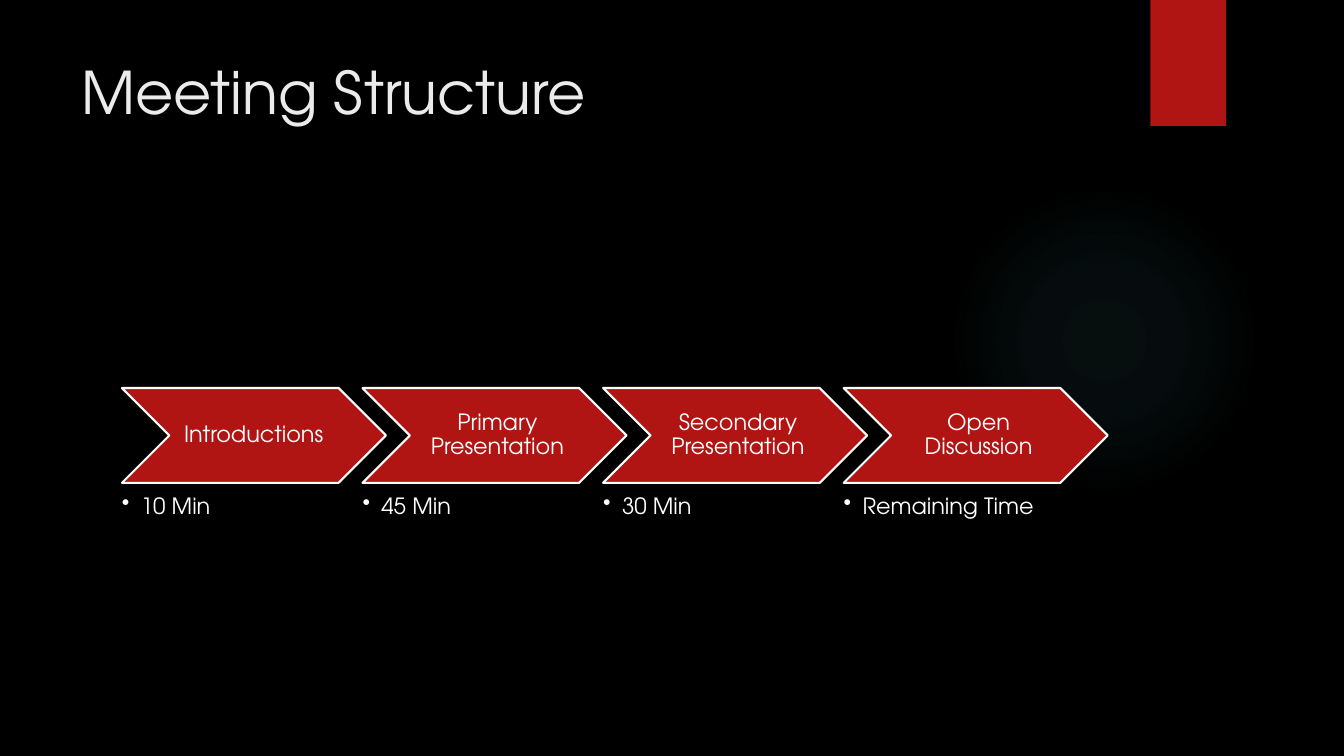
from pptx import Presentation
from pptx.dml.color import RGBColor as RGB
from pptx.enum.shapes import MSO_SHAPE as Kind
from pptx.enum.text import MSO_ANCHOR as Anchor, PP_ALIGN as Align
from pptx.oxml import parse_xml
from pptx.oxml.ns import nsdecls
from pptx.util import Pt
from dataclasses import dataclass

TITLE = "Meeting Structure"
STEPS = [
    ("Introductions\u00a0", "10 Min"),
    ("Primary Presentation", "45 Min"),
    ("Secondary Presentation", "30 Min"),
    ("Open Discussion", "Remaining Time"),
]


@dataclass(frozen=True)
class Theme:
    """Colours, font and type sizes."""
    back: str = "000000"
    red: str = "B01513"
    white: str = "FFFFFF"
    head: str = "EBEBEB"
    glow: str = "50B9C1"
    font: str = "TeX Gyre Adventor"
    big: float = 42
    small: float = 16


LOOK = Theme()
GLOW = [(0, 7), (36, 6), (69, 0)]  # stop and opacity, percent
LEFT, TOP, PITCH = 87.1, 277.2, 171.85
WIDE, HIGH = 188.6, 67.7
INSET, DROP = 34.2, 76.3  # label from chevron left, time from chevron top
HANG = 13.5


def apply(item, form):
    """Set each format value on an item."""
    for name, value in form.items():
        setattr(item, name, value)


def margins(left, top, right, bottom):
    """Give text frame margins as format values."""
    sides = zip(("left", "top", "right", "bottom"), (left, top, right, bottom))
    return {f"margin_{side}": Pt(gap) for side, gap in sides}


BODY = {"line_spacing": 0.9}
LABEL = {"vertical_anchor": Anchor.MIDDLE, **margins(5, 1.7, 1.7, 1.7)}
TIME = margins(0, 0, 0, 0)


def shape(slide, kind, box, fill=None, line=None):
    """Add a flat preset shape."""
    part = slide.shapes.add_shape(kind, *map(Pt, box))
    part.shadow.inherit = False
    if fill:
        part.fill.solid()
        part.fill.fore_color.rgb = RGB.from_string(fill)
    if line:
        part.line.color.rgb = RGB.from_string(line)
        part.line.width = Pt(1.5)
    else:
        part.line.fill.background()
    return part


def write(slide, box, text, size, tint, frame=None, para=None):
    """Add a wrapped text box and return its paragraph."""
    body = slide.shapes.add_textbox(*map(Pt, box)).text_frame
    apply(body, {"word_wrap": True, **(frame or {})})
    line = body.paragraphs[0]
    apply(line, para or {})
    run = line.add_run()
    run.text = text
    apply(run.font, {"name": LOOK.font, "size": Pt(size)})
    run.font.color.rgb = RGB.from_string(tint)
    return line


def shine(part):
    """Fill a shape with a faint round glow."""
    stops = "".join(
        f'<a:gs pos="{pos * 1000}"><a:srgbClr val="{LOOK.glow}">'
        f'<a:alpha val="{dim * 1000}"/></a:srgbClr></a:gs>'
        for pos, dim in GLOW)
    mid = " ".join(f'{side}="50000"' for side in "ltrb")
    fill = parse_xml(
        f'<a:gradFill {nsdecls("a")} rotWithShape="1"><a:gsLst>{stops}</a:gsLst>'
        f'<a:path path="circle"><a:fillToRect {mid}/></a:path></a:gradFill>')
    part._element.spPr.find("{*}prstGeom").addnext(fill)


def bullet(line):
    """Give a paragraph a hanging bullet."""
    props = line._p.get_or_add_pPr()
    props.set("marL", str(Pt(HANG)))
    props.set("indent", str(-Pt(HANG)))
    props.append(parse_xml(f'<a:buChar {nsdecls("a")} char="\u2022"/>'))


def step(slide, rank, name, time):
    """Draw one chevron with its label and time."""
    left = LEFT + rank * PITCH
    shape(slide, Kind.CHEVRON, (left, TOP, WIDE, HIGH), LOOK.red, LOOK.white)
    write(slide, (left + INSET, TOP, 121, HIGH), name, LOOK.small,
          LOOK.white, LABEL, {**BODY, "alignment": Align.CENTER})
    bullet(write(slide, (left, TOP + DROP, 151, 22.5), time, LOOK.small,
                 LOOK.white, TIME, BODY))


def main():
    """Build and save the slide."""
    deck = Presentation()
    apply(deck, {"slide_width": Pt(960), "slide_height": Pt(540)})
    slide = deck.slides.add_slide(deck.slide_layouts[6])
    slide.background.fill.solid()
    slide.background.fill.fore_color.rgb = RGB.from_string(LOOK.back)
    shine(shape(slide, Kind.OVAL, (677.5, 131.8, 221.8, 221.8)))
    shape(slide, Kind.RECTANGLE, (821.8, 0, 54, 90), LOOK.red)
    write(slide, (51.1, 36, 740.9, 110.2), TITLE, LOOK.big, LOOK.head)
    for rank, (name, time) in enumerate(STEPS):
        step(slide, rank, name, time)
    deck.save("out.pptx")


main()
